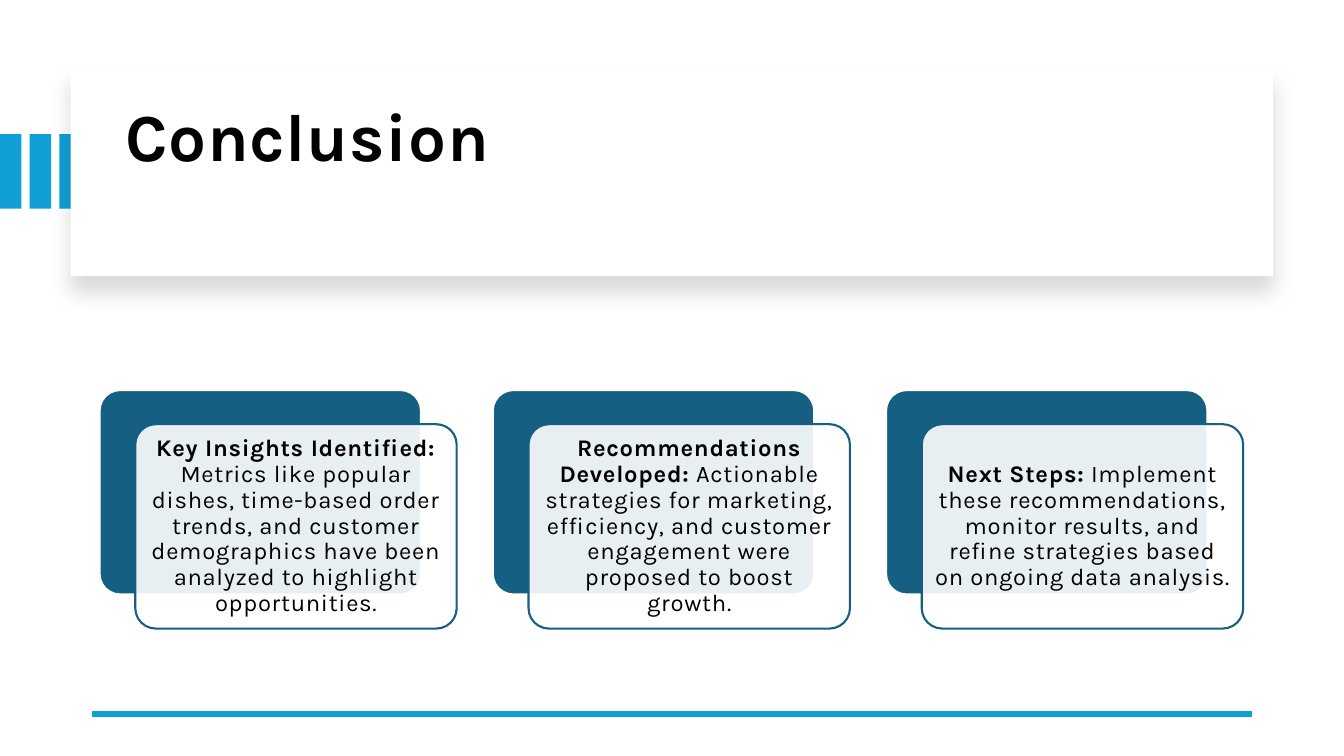
from dataclasses import dataclass

from lxml.etree import SubElement
from pptx import Presentation
from pptx.dml.color import RGBColor
from pptx.enum.shapes import MSO_CONNECTOR, MSO_SHAPE
from pptx.enum.text import MSO_ANCHOR, MSO_AUTO_SIZE, PP_ALIGN
from pptx.oxml.ns import qn
from pptx.util import Cm, Pt

WHITE = RGBColor(0xFF, 0xFF, 0xFF)
BLACK = RGBColor(0x00, 0x00, 0x00)
SKY = RGBColor(0x0F, 0x9E, 0xD5)
TEAL = RGBColor(0x15, 0x60, 0x82)
FONT = "Karla"
LETTER_SPACING = 50  # hundredths of a point

CARD_W, CARD_H = 8.1, 5.15
CARD_LEFT, CARD_TOP, CARD_PITCH = 2.51, 9.83, 9.91
FRONT_DX, FRONT_DY = 0.9, 0.86
TEXT_INSET = 0.15


@dataclass(frozen=True)
class Box:
    x: float
    y: float
    w: float
    h: float

    def lengths(self) -> tuple:
        return Cm(self.x), Cm(self.y), Cm(self.w), Cm(self.h)


@dataclass(frozen=True)
class Card:
    heading: str
    body: str


CARDS = [
    Card("Key Insights Identified:",
         " Metrics like popular dishes, time-based order trends, and customer "
         "demographics have been analyzed to highlight opportunities."),
    Card("Recommendations Developed:",
         " Actionable strategies for marketing, efficiency, and customer "
         "engagement were proposed to boost growth."),
    Card("Next Steps:",
         " Implement these recommendations, monitor results, and refine "
         "strategies based on ongoing data analysis."),
]


def add_box(shapes, kind: MSO_SHAPE, box: Box, fill: RGBColor,
            line: RGBColor | None = None):
    sp = shapes.add_shape(kind, *box.lengths())
    sp.shadow.inherit = False
    sp.fill.solid()
    sp.fill.fore_color.rgb = fill
    if line is None:
        sp.line.fill.background()
    else:
        sp.line.color.rgb = line
        sp.line.width = Pt(1.5)
    if kind == MSO_SHAPE.ROUNDED_RECTANGLE:
        sp.adjustments[0] = 0.1
    return sp


def add_run(p, text: str, size: float, bold: bool) -> None:
    r = p.add_run()
    r.text = text
    r.font.name = FONT
    r.font.size = Pt(size)
    r.font.bold = bold
    r.font.color.rgb = BLACK
    r.font._element.set("spc", str(LETTER_SPACING))


def set_opacity(sp, percent: int) -> None:
    color = sp.fill._xPr.find(qn("a:solidFill"))[0]
    SubElement(color, qn("a:alpha")).set("val", str(percent * 1000))


def drop_shadow(sp, blur: Pt, distance: Pt, opacity: int) -> None:
    effects = sp._element.spPr.find(qn("a:effectLst"))
    shadow = SubElement(effects, qn("a:outerShdw"), blurRad=str(blur),
                        dist=str(distance), dir="5400000", rotWithShape="0")
    color = SubElement(shadow, qn("a:srgbClr"), val=str(BLACK))
    SubElement(color, qn("a:alpha"), val=str(opacity * 1000))


def add_header(s) -> None:
    # Stripes at the left edge, partly covered by the panel
    stripes = s.shapes.add_group_shape()
    for i in range(3):
        add_box(stripes.shapes, MSO_SHAPE.RECTANGLE,
                Box(i * 0.75, 3.38, 0.54, 1.88), SKY)
    panel = add_box(s.shapes, MSO_SHAPE.RECTANGLE,
                    Box(1.78, 1.7, 30.3, 5.26), WHITE)
    drop_shadow(panel, Pt(15), Pt(11), 15)

    # Title, brought in front of the panel
    title = s.shapes.title
    title.left, title.top, title.width, title.height = Box(
        2.9, 2.26, 28.27, 4.32).lengths()
    panel._element.addnext(title._element)
    tf = title.text_frame
    tf.auto_size = MSO_AUTO_SIZE.NONE
    tf.vertical_anchor = MSO_ANCHOR.MIDDLE
    tf.margin_bottom = Cm(1.9)
    p = tf.paragraphs[0]
    p.alignment = PP_ALIGN.LEFT
    p.line_spacing = 0.9
    add_run(p, "Conclusion", 48, True)


def add_rule(s) -> None:
    rule = s.shapes.add_connector(MSO_CONNECTOR.STRAIGHT,
                                  Cm(31.55), Cm(18), Cm(2.33), Cm(18))
    rule.line.color.rgb = SKY
    rule.line.width = Pt(4.5)
    SubElement(rule._element.spPr, qn("a:effectLst"))


def add_card(shapes, card: Card, x: float) -> None:
    add_box(shapes, MSO_SHAPE.ROUNDED_RECTANGLE,
            Box(x, CARD_TOP, CARD_W, CARD_H), TEAL, WHITE)
    front = Box(x + FRONT_DX, CARD_TOP + FRONT_DY, CARD_W, CARD_H)
    set_opacity(add_box(shapes, MSO_SHAPE.ROUNDED_RECTANGLE,
                        front, WHITE, TEAL), 90)

    label = Box(front.x + TEXT_INSET, front.y + TEXT_INSET,
                CARD_W - 2 * TEXT_INSET, CARD_H - 2 * TEXT_INSET)
    tf = shapes.add_textbox(*label.lengths()).text_frame
    tf.word_wrap = True
    tf.vertical_anchor = MSO_ANCHOR.MIDDLE
    tf.margin_left = tf.margin_right = Cm(0.18)
    tf.margin_top = tf.margin_bottom = Cm(0.18)
    p = tf.paragraphs[0]
    p.alignment = PP_ALIGN.CENTER
    p.line_spacing = 0.9
    add_run(p, card.heading, 17, True)
    add_run(p, card.body, 17, False)


def main() -> None:
    prs = Presentation()
    prs.slide_width, prs.slide_height = Cm(33.87), Cm(19.05)
    s = prs.slides.add_slide(prs.slide_layouts[5])

    add_header(s)
    add_rule(s)

    # Row of cards
    row = s.shapes.add_group_shape()
    for i, card in enumerate(CARDS):
        add_card(row.shapes, card, CARD_LEFT + i * CARD_PITCH)

    prs.save("out.pptx")


if __name__ == "__main__":
    main()
